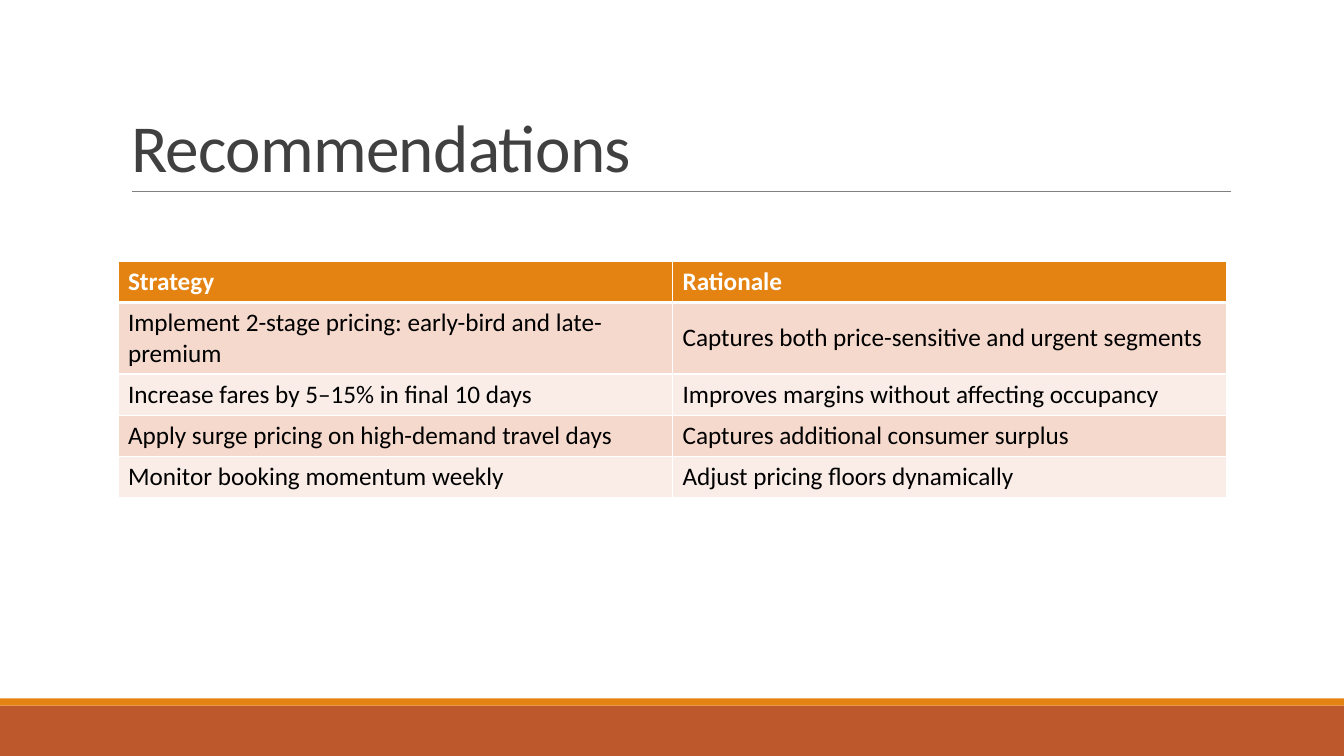
"""Build the pricing recommendations slide."""
from dataclasses import dataclass

from lxml import etree
from pptx import Presentation
from pptx.dml.color import RGBColor
from pptx.enum.shapes import MSO_CONNECTOR, MSO_SHAPE
from pptx.enum.text import MSO_ANCHOR, MSO_AUTO_SIZE, PP_ALIGN
from pptx.oxml.ns import qn
from pptx.slide import Slide
from pptx.table import _Cell
from pptx.text.text import Font
from pptx.util import Inches, Pt

STRAIGHT = MSO_CONNECTOR.STRAIGHT
RECTANGLE = MSO_SHAPE.RECTANGLE
MIDDLE, BOTTOM = MSO_ANCHOR.MIDDLE, MSO_ANCHOR.BOTTOM
NO_AUTOFIT = MSO_AUTO_SIZE.NONE
LEFT = PP_ALIGN.LEFT

WHITE = RGBColor(0xFF, 0xFF, 0xFF)
BLACK = RGBColor(0x00, 0x00, 0x00)
CHARCOAL = RGBColor(0x40, 0x40, 0x40)
GRAY = RGBColor(0x80, 0x80, 0x80)
ORANGE = RGBColor(0xE4, 0x83, 0x12)
RUST = RGBColor(0xBD, 0x58, 0x2C)
BAND_COLORS = (RGBColor(0xF5, 0xD9, 0xCC), RGBColor(0xFA, 0xED, 0xE7))

SLIDE_WIDTH, SLIDE_HEIGHT = 13.33, 7.5
COLUMN_WIDTH, ROW_HEIGHT = 5.5, 0.41
TITLE_FORMAT = {"name": "Calibri", "size": Pt(48), "bold": False}
CELL_FORMAT = {"name": "Calibri", "size": Pt(18)}


@dataclass(frozen=True)
class FooterBand:
    top: float
    height: float
    color: RGBColor


@dataclass(frozen=True)
class Recommendation:
    strategy: str
    rationale: str


FOOTER_BANDS = (FooterBand(7, 0.5, RUST), FooterBand(6.93, 0.07, ORANGE))
HEADINGS = Recommendation("Strategy", "Rationale")
RECOMMENDATIONS = (
    Recommendation("Implement 2-stage pricing: early-bird and late-premium",
                   "Captures both price-sensitive and urgent segments"),
    Recommendation("Increase fares by 5–15% in final 10 days",
                   "Improves margins without affecting occupancy"),
    Recommendation("Apply surge pricing on high-demand travel days",
                   "Captures additional consumer surplus"),
    Recommendation("Monitor booking momentum weekly",
                   "Adjust pricing floors dynamically"),
)


def apply_format(font: Font, values: dict, color: RGBColor) -> None:
    """Set the font attributes and colour."""
    for attribute, value in values.items():
        setattr(font, attribute, value)
    font.color.rgb = color


def add_footer_band(slide: Slide, band: FooterBand) -> None:
    """Draw one full-width band at the foot of the slide."""
    strip = slide.shapes.add_shape(
        RECTANGLE, 0, Inches(band.top), Inches(SLIDE_WIDTH), Inches(band.height))
    strip.shadow.inherit = False
    strip.fill.solid()
    strip.fill.fore_color.rgb = band.color
    strip.line.fill.background()


def add_title_rule(slide: Slide) -> None:
    """Draw the thin line under the title."""
    rule = slide.shapes.add_connector(
        STRAIGHT, Inches(1.31), Inches(1.9), Inches(12.21), Inches(1.9))
    rule.line.color.rgb = GRAY
    rule.line.width = Pt(0.5)
    etree.SubElement(rule._element.spPr, qn("a:effectLst"))


def write_title(slide: Slide, wording: str) -> None:
    """Place and format the title placeholder."""
    title = slide.shapes.title
    title.left, title.top = Inches(1.2), Inches(0.31)
    title.width, title.height = Inches(11), Inches(1.59)
    frame = title.text_frame
    frame.auto_size = NO_AUTOFIT
    frame.vertical_anchor = BOTTOM
    paragraph = frame.paragraphs[0]
    paragraph.alignment = LEFT
    paragraph.line_spacing = 0.85
    run = paragraph.add_run()
    run.text = wording
    apply_format(run.font, TITLE_FORMAT, CHARCOAL)
    run._r.get_or_add_rPr().set("spc", "-50")


def set_borders(cell: _Cell, top: float, bottom: float) -> None:
    """Give the cell white borders, one point wide at the sides."""
    properties = cell._tc.get_or_add_tcPr()
    widths = {"a:lnL": 1, "a:lnR": 1, "a:lnT": top, "a:lnB": bottom}
    for position, (tag, width) in enumerate(widths.items()):
        border = etree.Element(qn(tag), w=str(Pt(width)))
        fill = etree.SubElement(border, qn("a:solidFill"))
        etree.SubElement(fill, qn("a:srgbClr"), val=str(WHITE))
        properties.insert(position, border)


def fill_cell(cell: _Cell, wording: str, row: int) -> None:
    """Write and format a cell according to its row."""
    is_heading = row == 0
    cell.fill.solid()
    cell.fill.fore_color.rgb = ORANGE if is_heading else BAND_COLORS[(row - 1) % 2]
    cell.vertical_anchor = MIDDLE
    run = cell.text_frame.paragraphs[0].add_run()
    run.text = wording
    apply_format(run.font, {**CELL_FORMAT, "bold": is_heading},
                 WHITE if is_heading else BLACK)
    set_borders(cell, top=3 if row == 1 else 1, bottom=3 if is_heading else 1)


def add_recommendations(slide: Slide) -> None:
    """Draw the table of strategies and rationales."""
    entries = (HEADINGS, *RECOMMENDATIONS)
    table = slide.shapes.add_table(
        len(entries), 2, Inches(1.17), Inches(2.59),
        Inches(2 * COLUMN_WIDTH), Inches(len(entries) * ROW_HEIGHT)).table
    for column in table.columns:
        column.width = Inches(COLUMN_WIDTH)
    for row, entry in enumerate(entries):
        table.rows[row].height = Inches(ROW_HEIGHT)
        for column, wording in enumerate((entry.strategy, entry.rationale)):
            fill_cell(table.cell(row, column), wording, row)


def main() -> None:
    """Assemble and save the presentation."""
    presentation = Presentation()
    presentation.slide_width = Inches(SLIDE_WIDTH)
    presentation.slide_height = Inches(SLIDE_HEIGHT)
    slide = presentation.slides.add_slide(presentation.slide_layouts[5])
    for band in FOOTER_BANDS:
        add_footer_band(slide, band)
    add_title_rule(slide)
    write_title(slide, "Recommendations")
    add_recommendations(slide)
    presentation.save("out.pptx")


if __name__ == "__main__":
    main()
